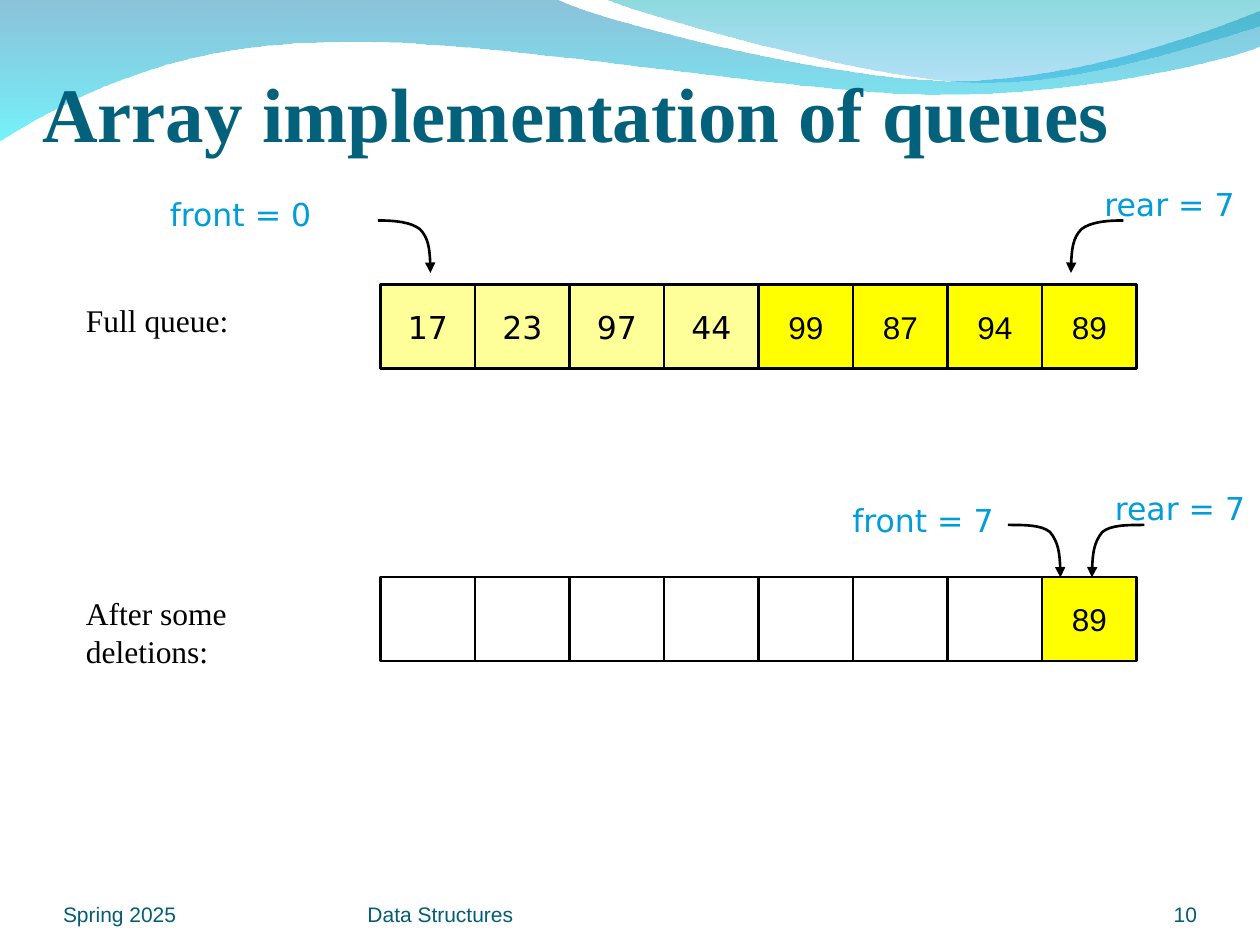
from lxml import etree
from pptx import Presentation
from pptx.dml.color import RGBColor
from pptx.enum.shapes import MSO_SHAPE as Shape
from pptx.enum.text import MSO_ANCHOR as Anchor, MSO_AUTO_SIZE as AutoSize, PP_ALIGN as Align
from pptx.oxml.ns import qn
from pptx.util import Pt

SERIF, SANS, WIDE = "Times New Roman", "Arial", "DejaVu Sans"
BLACK, WHITE, YELLOW, PALE = "000000", "FFFFFF", "FFFF00", "FFFF99"
TITLE, LABEL, FOOTER = "04617B", "009DD9", "045C75"
CELL_LEFT, CELL_WIDTH, CELL_HEIGHT = 217.5, 54, 48


def color(code):
    return RGBColor.from_string(code)


def write(frame, text, size, font, code, align=Align.LEFT, bold=False):
    para = frame.paragraphs[0]
    para.text = text
    para.alignment = align
    para.font.size = Pt(size)
    para.font.name = font
    para.font.bold = bold
    para.font.color.rgb = color(code)


def add_text(page, at, text, size, font, code, align=Align.LEFT,
             anchor=Anchor.TOP, insets=(0, 0, 0, 0), bold=False):
    frame = page.shapes.add_textbox(*map(Pt, at)).text_frame
    frame.word_wrap = True
    frame.vertical_anchor = anchor
    frame.margin_left, frame.margin_top, frame.margin_right, frame.margin_bottom = map(Pt, insets)
    write(frame, text, size, font, code, align, bold)
    return frame


def add_label(page, left, top, width, text, font=WIDE, code=LABEL):
    frame = add_text(page, (left, top, width, 29), text, 18, font, code,
                     insets=(7.2, 3.6, 7.2, 3.6))
    frame.auto_size = AutoSize.SHAPE_TO_FIT_TEXT


def add_cells(page, top, cells):
    for column, (text, fill, font) in enumerate(cells):
        cell = page.shapes.add_shape(
            Shape.RECTANGLE, Pt(CELL_LEFT + column * CELL_WIDTH), Pt(top),
            Pt(CELL_WIDTH), Pt(CELL_HEIGHT))
        cell.shadow.inherit = False
        if fill:
            cell.fill.solid()
            cell.fill.fore_color.rgb = color(fill)
        else:
            cell.fill.background()
        cell.line.color.rgb = color(BLACK)
        cell.line.width = Pt(1.5)
        if text:
            cell.text_frame.word_wrap = False
            cell.text_frame.vertical_anchor = Anchor.MIDDLE
            write(cell.text_frame, text, 18, font, BLACK, Align.CENTER)


def add_curve(page, start, segments, close=False):
    """Each segment is one point (straight) or three points (cubic curve)."""
    builder = page.shapes.build_freeform(*start, scale=float(Pt(1)))
    builder.add_line_segments([point for segment in segments for point in segment], close=close)
    curve = builder.convert_to_shape()
    curve.shadow.inherit = False
    # Join every three control points into one cubic step
    steps = iter(list(curve._element.iter(qn("a:lnTo"))))
    for segment in segments:
        first, *others = [next(steps) for _ in segment]
        if others:
            first.tag = qn("a:cubicBezTo")
            for step in others:
                first.append(step[0])
                step.getparent().remove(step)
    return curve


def add_wave(page, start, segments, stops):
    wave = add_curve(page, start, segments, close=True)
    wave.line.fill.background()
    wave.fill.gradient()
    wave.fill.gradient_angle = 270
    for stop, (code, _) in zip(wave.fill.gradient_stops, stops):
        stop.color.rgb = color(code)
    for tint, (_, opacity) in zip(wave._element.spPr.iter(qn("a:srgbClr")), stops):
        etree.SubElement(tint, qn("a:alpha")).set("val", str(opacity * 1000))


def add_pointer(page, left, top, direction):
    """Bent arrow going down; direction is 1 to the right, -1 to the left."""
    bends = [[(9.5, 0.5), (19, 0.7), (24, 5)], [(29, 10), (29.5, 20), (30, 30)]]
    segments = [[(left + direction * x, top + y) for x, y in bend] for bend in bends]
    pointer = add_curve(page, (left, top), segments)
    pointer.fill.background()
    pointer.line.color.rgb = color(BLACK)
    pointer.line.width = Pt(1.5)
    etree.SubElement(pointer.line._get_or_add_ln(), qn("a:tailEnd")).set("type", "triangle")


def main():
    deck = Presentation()
    deck.slide_width, deck.slide_height = Pt(720), Pt(540)
    page = deck.slides.add_slide(deck.slide_layouts[6])

    # Waves along the top
    add_wave(page, (0, -0.7), [
        [(317, -0.7)],
        [(343, 12), (478, 45.5), (546, 45.5)],
        [(614, 45.5), (690, 18.5), (720, 6.5)],
        [(720.7, 26)],
        [(708, 31.5), (626.5, 54.5), (537, 54)],
        [(447.5, 54), (275, 20), (185, 24.5)],
        [(93, 25), (33, 60), (-0.7, 81.4)],
    ], [("0079AF", 45), ("00EBF8", 55)])
    add_wave(page, (345, -0.7), [
        [(366.5, 8), (491, 44.5), (554, 47)],
        [(616, 49.5), (692, 23), (720, 15)],
        [(720, 0)],
    ], [("00ADB6", 45), ("009BE5", 30)])

    # Title
    add_text(page, (24, 32.4, 685.5, 57.6), "Array implementation of queues", 44, SERIF, TITLE,
             Align.JUSTIFY, Anchor.BOTTOM, (0, 3.6, 0, 0), True)

    # Queue after deletions
    add_cells(page, 329.8, [("", WHITE, SANS)] * 5 + [("", None, SANS)] * 2
              + [("89", YELLOW, SANS)])
    add_label(page, 42, 336, 162, "After some deletions:", SERIF, BLACK)

    # Full queue
    add_cells(page, 162.5, [(text, PALE, WIDE) for text in ("17", "23", "97", "44")]
              + [(text, YELLOW, SANS) for text in ("99", "87", "94", "89")])
    add_label(page, 42, 168.5, 162, "Full queue:", SERIF, BLACK)

    # Front and rear pointers
    for text, left, top, tip_left, tip_top, direction in (
            ("rear = 7", 624, 102, 642, 126, -1),
            ("front = 0", 90, 108, 216, 126, 1),
            ("rear = 7", 630, 276, 654, 299.5, -1),
            ("front = 7", 480, 283, 576, 299.5, 1)):
        add_label(page, left, top, 132, text)
        add_pointer(page, tip_left, tip_top, direction)

    # Footer
    for text, left, width, align in (
            ("Spring 2025", 36, 168, Align.LEFT),
            ("Data Structures", 210, 264, Align.LEFT),
            ("10", 624, 60, Align.RIGHT)):
        add_text(page, (left, 500.5, width, 28.8), text, 12, SANS, FOOTER, align, Anchor.BOTTOM)

    deck.save("out.pptx")


if __name__ == "__main__":
    main()
